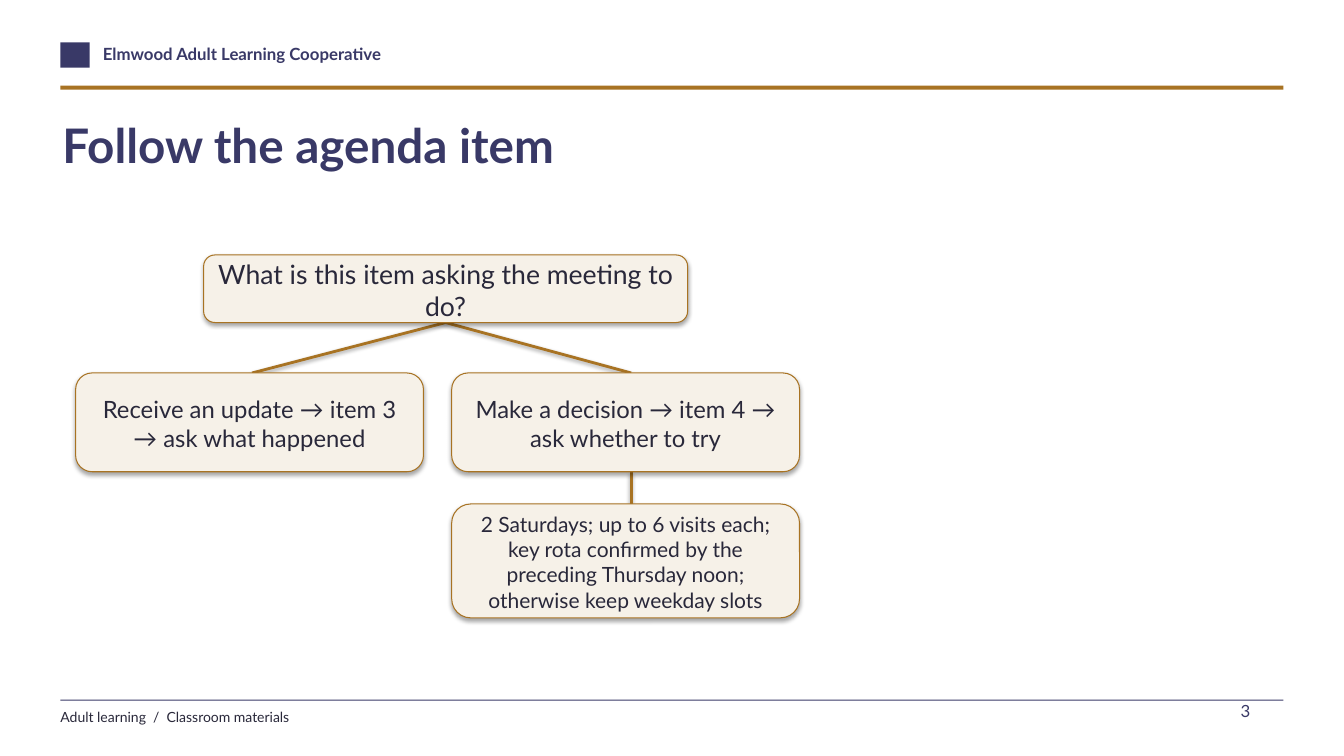
from dataclasses import dataclass
from pptx import Presentation
from pptx.dml.color import RGBColor as RGB
from pptx.enum.shapes import MSO_CONNECTOR as LINK, MSO_SHAPE as SHAPE
from pptx.enum.text import MSO_ANCHOR as ANCHOR, PP_ALIGN as ALIGN
from pptx.util import Inches, Pt


@dataclass(frozen=True)
class Theme:
    font: str = "Lato"
    navy: RGB = RGB(0x39, 0x39, 0x67)
    gold: RGB = RGB(0xA8, 0x73, 0x23)
    cream: RGB = RGB(0xF6, 0xF1, 0xE8)
    ink: RGB = RGB(0x29, 0x28, 0x3A)
    title: int = 34
    root: int = 19
    branch: int = 17
    leaf: int = 15
    small: int = 12
    foot: int = 10


THEME = Theme()


def write(frame, text, size, color, bold=False, align=ALIGN.LEFT, after=0):
    frame.word_wrap = True
    frame.text = text
    para = frame.paragraphs[0]
    para.alignment = align
    para.space_after = Pt(after)
    for run in para.runs:
        font = run.font
        font.name, font.size, font.bold = THEME.font, Pt(size), bold
        font.color.rgb = color


def inset(frame, left, top, right, bottom):
    frame.margin_left, frame.margin_right = Inches(left), Inches(right)
    frame.margin_top, frame.margin_bottom = Inches(top), Inches(bottom)


def add_text(slide, box, text, size, color, bold=False, after=4):
    frame = slide.shapes.add_textbox(*map(Inches, box)).text_frame
    inset(frame, 0, 0, 0, 0)
    write(frame, text, size, color, bold, after=after)


def add_page(slide, text):
    box = slide.shapes.add_textbox(*map(Inches, (12, 6.9, 0.5, 0.28)))
    write(box.text_frame, text, THEME.small, THEME.navy, align=ALIGN.RIGHT, after=12)


def add_bar(slide, box, color):
    bar = slide.shapes.add_shape(SHAPE.RECTANGLE, *map(Inches, box))
    bar.shadow.inherit = False
    bar.fill.solid()
    bar.fill.fore_color.rgb = color
    bar.line.fill.background()


def add_node(slide, box, text, size):
    node = slide.shapes.add_shape(SHAPE.ROUNDED_RECTANGLE, *map(Inches, box))
    node.fill.solid()
    node.fill.fore_color.rgb = THEME.cream
    node.line.color.rgb = THEME.gold
    node.line.width = Pt(0.75)
    frame = node.text_frame
    frame.vertical_anchor = ANCHOR.MIDDLE
    inset(frame, 0.1, 0.06, 0.1, 0.04)
    write(frame, text, size, THEME.ink, align=ALIGN.CENTER, after=12)
    return node


def add_link(slide, start, end):
    link = slide.shapes.add_connector(LINK.STRAIGHT, *map(Inches, start + end))
    link.line.color.rgb = THEME.gold
    link.line.width = Pt(2)
    return link


def add_frame(slide):
    add_bar(slide, (0.6, 0.42, 0.29, 0.25), THEME.navy)
    add_text(slide, (1.02, 0.43, 6, 0.28), "Elmwood Adult Learning Cooperative",
             THEME.small, THEME.navy, True)
    add_bar(slide, (0.6, 0.85, 12.13, 0.04), THEME.gold)
    add_bar(slide, (0.6, 6.94, 12.13, 0.01), THEME.navy)
    add_text(slide, (0.6, 7.03, 7, 0.23), "Adult learning  /  Classroom materials",
             THEME.foot, THEME.ink)


def add_tree(slide):
    left, right, wide = 0.75, 4.48, 3.45
    top, tall = 3.7, 0.98
    fork = (4.42, 3.2)
    forks = [add_link(slide, fork, (x, top)) for x in (2.5, 6.26)]
    add_link(slide, (6.26, top + tall), (6.26, 5))
    root = add_node(slide, (2.02, 2.53, 4.8, 0.67),
                    "What is this item asking the meeting to do?", THEME.root)
    for link in forks:
        link.begin_connect(root, 2)
    add_node(slide, (left, top, wide, tall),
             "Receive an update → item 3 → ask what happened", THEME.branch)
    add_node(slide, (right, top, wide, tall),
             "Make a decision → item 4 → ask whether to try", THEME.branch)
    add_node(slide, (right, 5, wide, 1.13),
             "2 Saturdays; up to 6 visits each; key rota confirmed by the "
             "preceding Thursday noon; otherwise keep weekday slots", THEME.leaf)


def main():
    deck = Presentation()
    deck.slide_width, deck.slide_height = Inches(13.33), Inches(7.5)
    slide = deck.slides.add_slide(deck.slide_layouts[6])
    add_frame(slide)
    add_text(slide, (0.62, 1.15, 12, 1.05), "Follow the agenda item",
             THEME.title, THEME.navy, True, after=0)
    add_page(slide, "3")
    add_tree(slide)
    deck.save("out.pptx")


if __name__ == "__main__":
    main()
